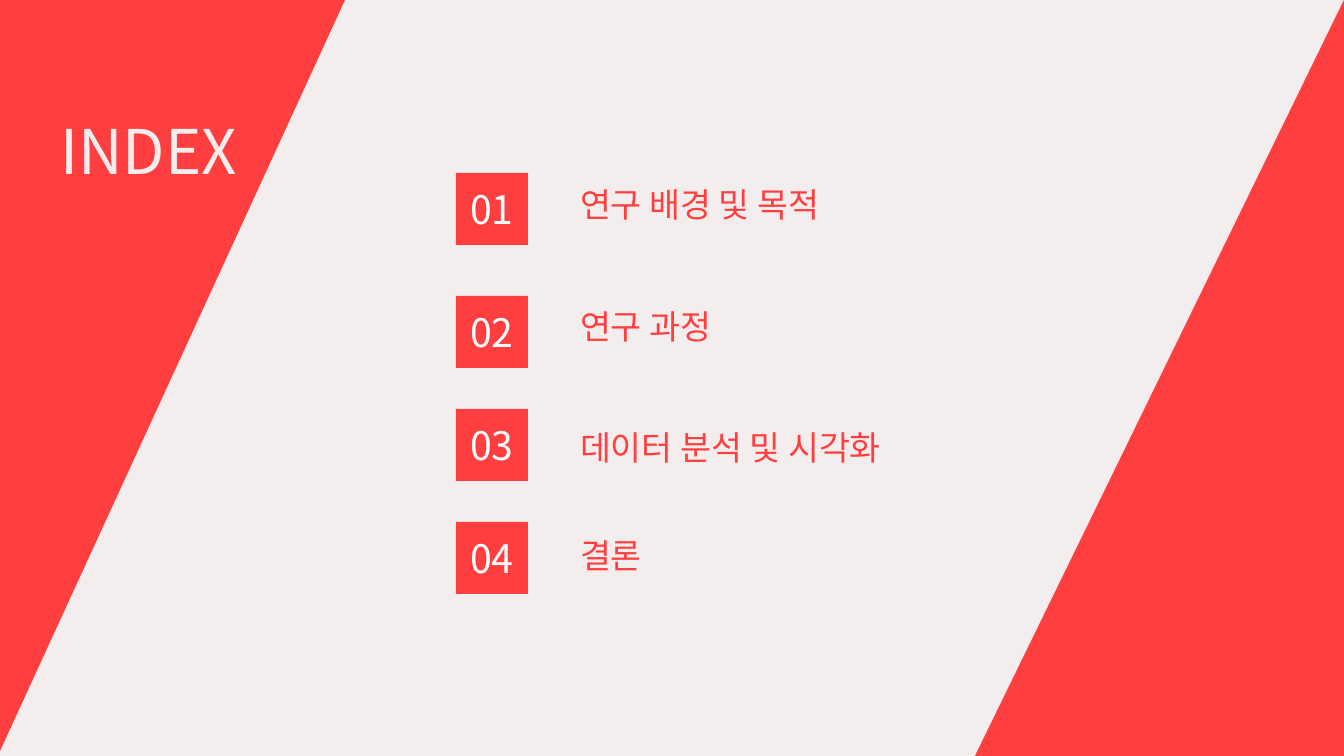
from pptx import Presentation
from pptx.dml.color import RGBColor
from pptx.enum.shapes import MSO_SHAPE
from pptx.enum.text import MSO_ANCHOR, MSO_AUTO_SIZE, PP_ALIGN
from pptx.oxml.ns import qn
from pptx.util import Pt
from lxml.etree import SubElement

PX = 12192000 / 1344
COLORS = {"red": "FF3F3F", "paper": "F3EEED", "white": "FFFFFF"}
FONT = "Noto Sans CJK KR"
TOPICS = [
    ("연구 배경 및 목적", 0),
    ("연구 과정", 58),
    ("데이터 분석 및 시각화", 58),
    ("결론", 48),
]
BADGE_TOPS = [0, 123, 236, 349]


def px(*values):
    return [round(v * PX) for v in values]


def rgb(name):
    return RGBColor.from_string(COLORS[name])


def apply(obj, formats):
    for name, value in formats.items():
        setattr(obj, name, value)


def paint(sp, color):
    sp.fill.solid()
    sp.fill.fore_color.rgb = rgb(color)
    sp.line.fill.background()
    sp.shadow.inherit = False


def place(sp, box, anchor):
    apply(sp, dict(zip(("left", "top", "width", "height"), px(*box))))
    apply(sp.text_frame, {
        "word_wrap": True,
        "auto_size": MSO_AUTO_SIZE.NONE,
        "vertical_anchor": anchor,
    })


def write(p, text, size, color, align=PP_ALIGN.LEFT, before=0):
    apply(p, {"alignment": align, "space_before": Pt(before)})
    r = p.add_run()
    r.text = text
    apply(r.font, {"size": Pt(size), "name": FONT})
    r.font.color.rgb = rgb(color)
    rPr = r.font._element
    rPr.set("kern", "0")
    SubElement(rPr, qn("a:ea")).set("typeface", FONT)


def add_corner(s, box, points):
    x, y, w, h = box
    corners = [px(x + w * u, y + h * v) for u, v in points]
    builder = s.shapes.build_freeform(*corners[0])
    builder.add_line_segments(corners[1:], close=True)
    sp = builder.convert_to_shape()
    paint(sp, "red")
    s.shapes._spTree.insert(2, sp._element)


def add_title(s, box):
    place(s.shapes.title, box, MSO_ANCHOR.MIDDLE)
    write(s.shapes.title.text_frame.paragraphs[0], "INDEX", 44, "paper")


def add_topics(s, box):
    body = s.placeholders[1]
    place(body, box, MSO_ANCHOR.TOP)
    tf = body.text_frame
    for i, (topic, before) in enumerate(TOPICS):
        p = tf.add_paragraph() if i else tf.paragraphs[0]
        write(p, topic, 24, "red", before=before)
        pPr = p._p.get_or_add_pPr()
        pPr.set("marL", "0")
        pPr.set("indent", "0")
        SubElement(pPr, qn("a:buNone"))


def add_badges(s, box):
    x, y, side, _ = box
    for i, top in enumerate(BADGE_TOPS, 1):
        sp = s.shapes.add_shape(MSO_SHAPE.RECTANGLE, *px(x, y + top, side, side))
        paint(sp, "red")
        sp.text_frame.vertical_anchor = MSO_ANCHOR.MIDDLE
        write(sp.text_frame.paragraphs[0], f"{i:02}", 28, "white", PP_ALIGN.CENTER)


def add_index(prs):
    s = prs.slides.add_slide(prs.slide_layouts[1])
    s.background.fill.solid()
    s.background.fill.fore_color.rgb = rgb("paper")
    add_corner(s, (0, 0, 345, 751), [(0, 0), (1, 0), (0, 1)])
    add_corner(s, (975, 0, 369, 756), [(1, 0), (1, 1), (0, 1)])
    add_title(s, (50, 107, 212, 85))
    add_topics(s, (570, 179, 493, 404))
    add_badges(s, (456, 173, 72, 421))


def main():
    prs = Presentation()
    prs.slide_width, prs.slide_height = px(1344, 756)
    add_index(prs)
    prs.save("out.pptx")


if __name__ == "__main__":
    main()
